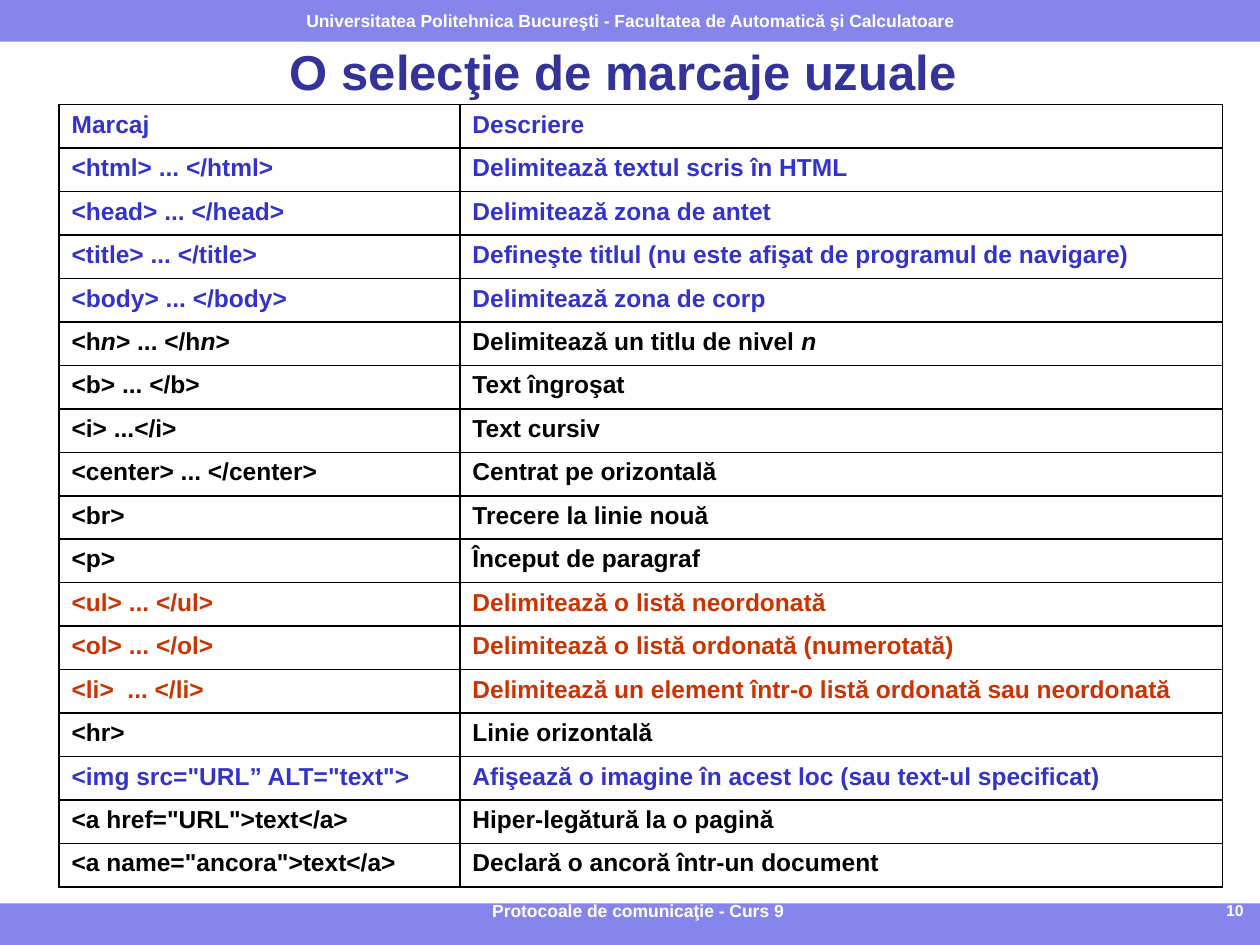
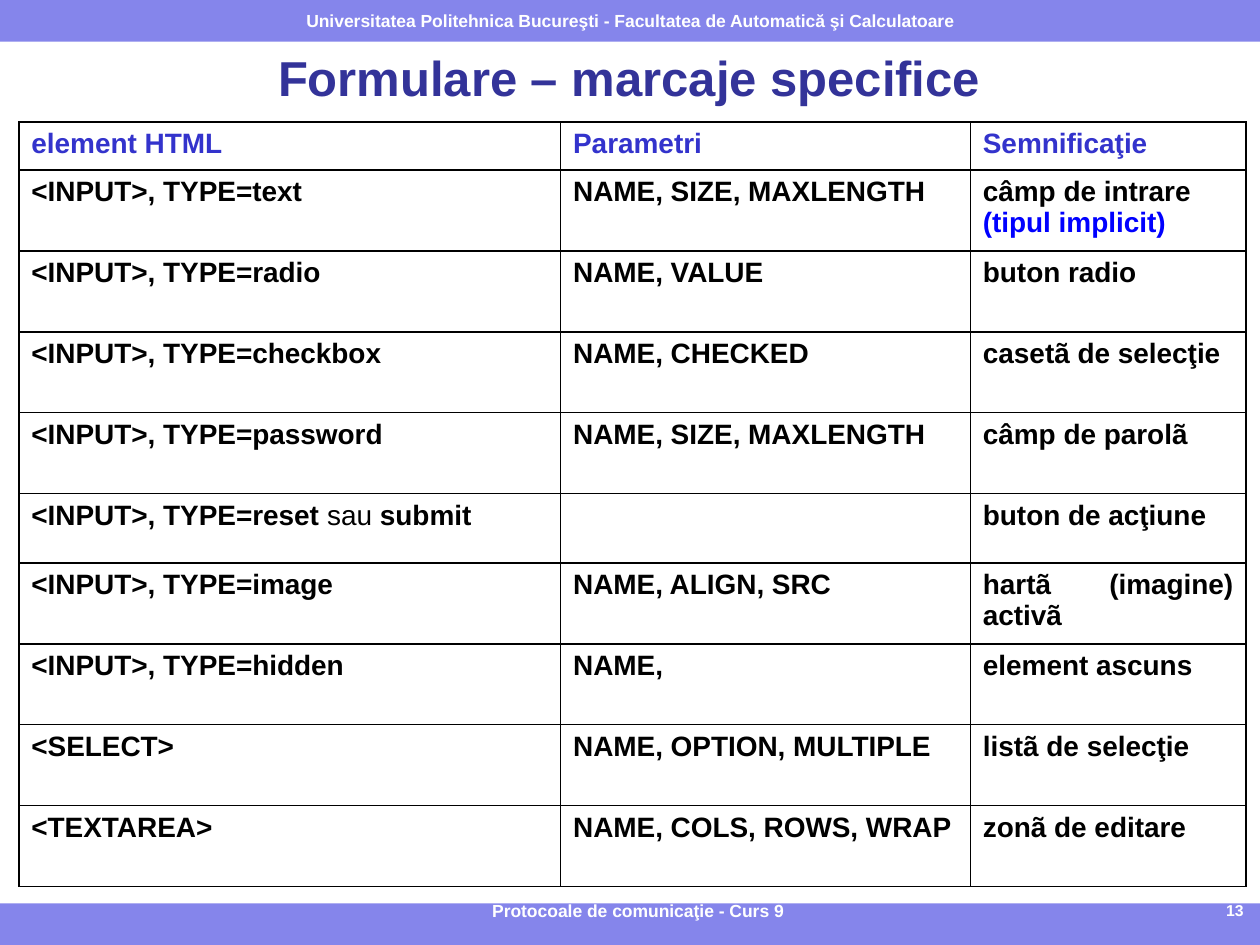
"""Build two slides of HTML tag tables that share bands, title style and footers."""
from pptx import Presentation, oxml, util as u
from pptx.dml.color import RGBColor
from pptx.enum import shapes, text as t
from pptx.oxml import ns

WHITE, BLACK, BAND = "FFFFFF", "000000", "8585EB"
TITLE, BLUE, RED, BRIGHT_BLUE = "333399", "3333CC", "CC3300", "0000FF"
WIDTH, HEIGHT, BAND_HEIGHT = 25.4, 19.05, 0.84
BAND_TOP = HEIGHT - BAND_HEIGHT
LEFT, CENTER = t.PP_ALIGN.LEFT, t.PP_ALIGN.CENTER
RIGHT, JUSTIFY = t.PP_ALIGN.RIGHT, t.PP_ALIGN.JUSTIFY


def color(value):
    return RGBColor.from_string(value)


def write(frame, text, size=10, fill=WHITE, align=CENTER, spacing=None, toggle="italic"):
    """Append a paragraph; underscores switch italic on or bold off."""
    paragraph = frame.paragraphs[0]
    if paragraph.runs:
        paragraph = frame.add_paragraph()
    paragraph.alignment = align
    paragraph.line_spacing = spacing
    for index, part in enumerate(text.split("_")):
        if part:
            run = paragraph.add_run()
            run.text = part
            run.font.name = "Arial"
            run.font.size = u.Pt(size)
            run.font.color.rgb = color(fill)
            switched = index % 2 == 1
            run.font.bold = not (switched and toggle == "bold")
            run.font.italic = switched and toggle == "italic"


common_tags = [
    (BLUE, "Marcaj", "Descriere"),
    (BLUE, "<html> ... </html>", "Delimitează textul scris în HTML"),
    (BLUE, "<head> ... </head>", "Delimitează zona de antet"),
    (BLUE, "<title> ... </title>", "Defineşte titlul (nu este afişat de programul de navigare)"),
    (BLUE, "<body> ... </body>", "Delimitează zona de corp"),
    (BLACK, "<h_n_> ... </h_n_>", "Delimitează un titlu de nivel _n_"),
    (BLACK, "<b> ... </b>", "Text îngroşat"),
    (BLACK, "<i> ...</i>", "Text cursiv"),
    (BLACK, "<center> ... </center>", "Centrat pe orizontală"),
    (BLACK, "<br>", "Trecere la linie nouă"),
    (BLACK, "<p>", "Început de paragraf"),
    (RED, "<ul> ... </ul>", "Delimitează o listă neordonată"),
    (RED, "<ol> ... </ol>", "Delimitează o listă ordonată (numerotată)"),
    (RED, "<li>  ... </li>", "Delimitează un element într-o listă ordonată sau neordonată"),
    (BLACK, "<hr>", "Linie orizontală"),
    (BLUE, '<img src="URL” ALT="text">', "Afişează o imagine în acest loc (sau text-ul specificat) "),
    (BLACK, '<a href="URL">text</a>', "Hiper-legătură la o pagină"),
    (BLACK, '<a name="ancora">text</a>', "Declară o ancoră într-un document"),
]

form_tags = [
    (BLUE, "element HTML", "Parametri", "Semnificaţie"),
    (BLACK, "<INPUT>, TYPE=text", "NAME, SIZE, MAXLENGTH", "câmp de intrare\n(tipul implicit)"),
    (BLACK, "<INPUT>, TYPE=radio", "NAME, VALUE", "buton radio"),
    (BLACK, "<INPUT>, TYPE=checkbox", "NAME, CHECKED", "casetã de selecţie"),
    (BLACK, "<INPUT>, TYPE=password", "NAME, SIZE, MAXLENGTH", "câmp de parolã"),
    (BLACK, "<INPUT>, TYPE=reset _sau_ submit", "", "buton de acţiune"),
    (BLACK, "<INPUT>, TYPE=image", "NAME, ALIGN, SRC", "hartã (imagine) activã"),
    (BLACK, "<INPUT>, TYPE=hidden", "NAME,", "element ascuns"),
    (BLACK, "<SELECT>", "NAME, OPTION, MULTIPLE", "listã de selecţie"),
    (BLACK, "<TEXTAREA>", "NAME, COLS, ROWS, WRAP", "zonã de editare"),
]

pages = [
    dict(number="10", title="O selecţie de marcaje uzuale ", title_box=(0, 0.41, 25.4, 2.06),
         rows=common_tags, corner=(1.19, 2.11), columns=[8.08, 15.37],
         heights=[15.77 / 18] * 18, size=14, toggle="italic"),
    dict(number="13", title="Formulare – marcaje specifice", title_box=(1.07, 0.79, 23.22, 1.52),
         rows=form_tags, corner=(0.38, 2.46), columns=[10.92, 8.26, 5.56],
         heights=[0.97] + [1.63] * 4 + [1.4] + [1.63] * 4, size=16, toggle="bold"),
]

presentation = Presentation()
presentation.slide_width, presentation.slide_height = u.Cm(WIDTH), u.Cm(HEIGHT)

for page in pages:
    slide = presentation.slides.add_slide(presentation.slide_layouts[6])

    for top, label in [(BAND_TOP, ""),
                       (0, "Universitatea Politehnica Bucureşti - Facultatea de Automatică şi Calculatoare")]:
        band = slide.shapes.add_shape(shapes.MSO_SHAPE.RECTANGLE, u.Cm(0), u.Cm(top),
                                      u.Cm(WIDTH), u.Cm(BAND_HEIGHT))
        band.shadow.inherit = False
        band.fill.solid()
        band.fill.fore_color.rgb = color(BAND)
        band.line.fill.background()
        band.text_frame.word_wrap = False
        band.text_frame.vertical_anchor = t.MSO_ANCHOR.MIDDLE
        write(band.text_frame, label)

    title = slide.shapes.add_textbox(*map(u.Cm, page["title_box"])).text_frame
    title.word_wrap = True
    title.vertical_anchor = t.MSO_ANCHOR.MIDDLE
    write(title, page["title"], size=28, fill=TITLE)

    rows, columns = page["rows"], page["columns"]
    left, top = page["corner"]
    table = slide.shapes.add_table(len(rows), len(columns), u.Cm(left), u.Cm(top),
                                   u.Cm(sum(columns)), u.Cm(sum(page["heights"]))).table
    table.first_row = table.horz_banding = False
    for column, width in zip(table.columns, columns):
        column.width = u.Cm(width)
    for row, height, (fill, *labels) in zip(table.rows, page["heights"], rows):
        row.height = u.Cm(height)
        for cell, label in zip(row.cells, labels):
            align = LEFT if label in ("Marcaj", "Descriere") else JUSTIFY
            for index, line in enumerate(label.split("\n")):
                write(cell.text_frame, line, size=page["size"], fill=BRIGHT_BLUE if index else fill,
                      align=align, toggle=page["toggle"])
            properties = cell._tc.get_or_add_tcPr()
            for side in "LRTB":
                properties.append(oxml.parse_xml(
                    f'<a:ln{side} {ns.nsdecls("a")} w="12700"><a:solidFill>'
                    f'<a:srgbClr val="{BLACK}"/></a:solidFill></a:ln{side}>'))
            cell.fill.background()

    for label, left, width, size, align in [
            (page["number"], 19.48, 5.84, 9, RIGHT),
            ("Protocoale de comunicaţie - Curs 9", 6.55, 12.62, 10, CENTER)]:
        footer = slide.shapes.add_textbox(u.Cm(left), u.Cm(BAND_TOP), u.Cm(width), u.Cm(0.76)).text_frame
        footer.word_wrap = True
        footer.margin_top = 0
        write(footer, label, size=size, align=align, spacing=0.85)

presentation.save("out.pptx")
